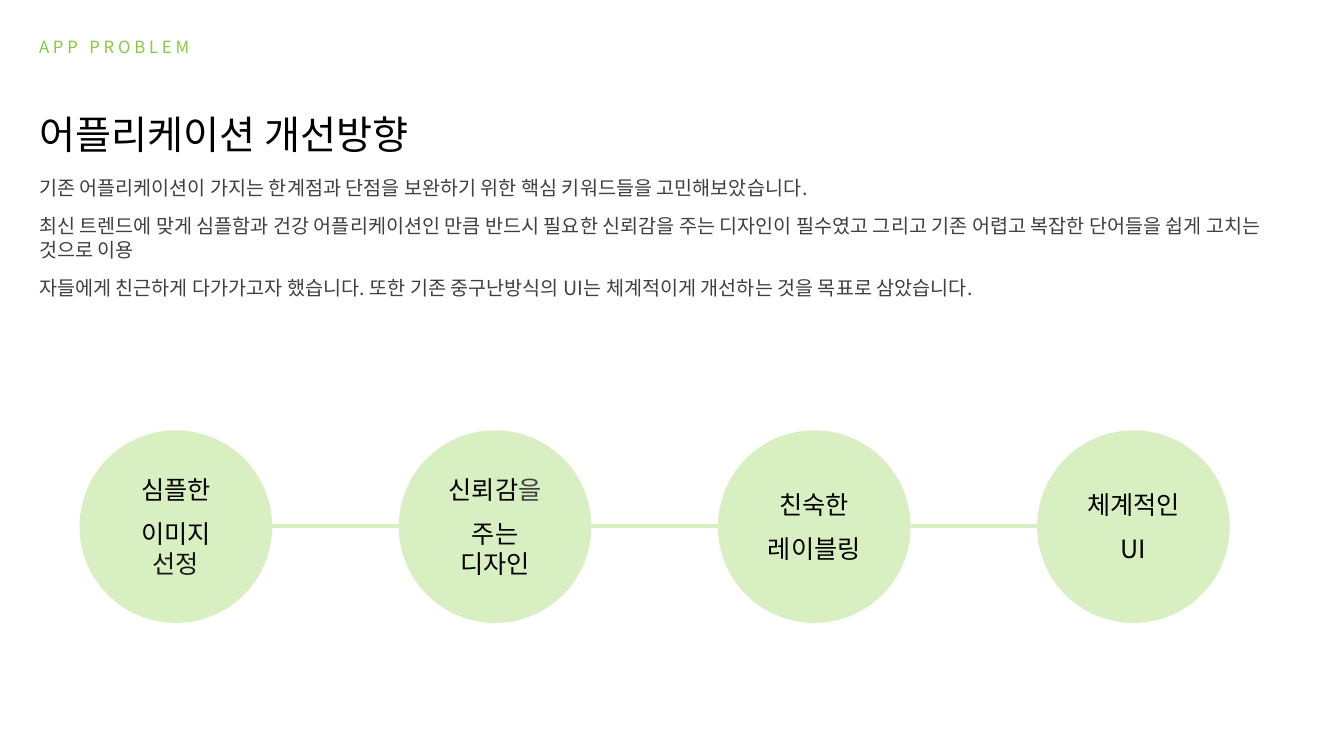
from dataclasses import dataclass

from lxml import etree
from pptx import Presentation
from pptx import util as u
from pptx.dml.color import RGBColor
from pptx.enum import shapes, text
from pptx.oxml.ns import qn


@dataclass(frozen=True)
class TypeStyle:
    """Size, leading, paragraph gap and tracking in points, with a colour."""
    size: float
    leading: float
    color: str
    gap: float = 0
    tracking: float = 0


@dataclass(frozen=True)
class Theme:
    """Colours and type styles of the slide."""
    face: str = "Noto Sans CJK KR"
    pale_green: str = "D8EFC1"
    grey: str = "404040"
    ink: str = "181717"
    eyebrow: TypeStyle = TypeStyle(12, 16, "86CC40", tracking=2.7)
    title: TypeStyle = TypeStyle(28, 36, "000000")
    body: TypeStyle = TypeStyle(14, 16.5, "404040", gap=11)
    keyword: TypeStyle = TypeStyle(18, 21.5, "000000", gap=9.5)


class Deck:
    """Draws the slide on a grid of 48 columns and 27 rows."""
    COLUMNS, ROWS = 48, 27

    def __init__(self, theme):
        """Open a title-only slide."""
        self.theme = theme
        self.file = Presentation()
        self.file.slide_width = u.Inches(13.33)
        self.file.slide_height = u.Inches(7.5)
        self.slide = self.file.slides.add_slide(self.file.slide_layouts[5])

    def x(self, columns):
        """Convert columns to a length."""
        return round(self.file.slide_width * columns / self.COLUMNS)

    def y(self, rows):
        """Convert rows to a length."""
        return round(self.file.slide_height * rows / self.ROWS)

    def box(self, left, top, width, height):
        """Convert a grid box to lengths."""
        return self.x(left), self.y(top), self.x(width), self.y(height)

    def typeset(self, frame, paragraphs, style, align, anchor):
        """Fill a frame with paragraphs, each a list of (words, colour) runs."""
        frame.word_wrap = True
        frame.auto_size = text.MSO_AUTO_SIZE.NONE
        frame.vertical_anchor = anchor
        for index, runs in enumerate(paragraphs):
            paragraph = frame.add_paragraph() if index else frame.paragraphs[0]
            paragraph.alignment = align
            paragraph.line_spacing = u.Pt(style.leading)
            paragraph.space_before = u.Pt(style.gap if index else 0)
            paragraph.font.size = u.Pt(style.size)
            paragraph.font.name = self.theme.face
            paragraph.font.color.rgb = RGBColor.from_string(style.color)
            defaults = paragraph._p.pPr.find(qn("a:defRPr"))
            etree.SubElement(defaults, qn("a:ea"), typeface=self.theme.face)
            if style.tracking:
                defaults.set("spc", str(round(style.tracking * 100)))
            for words, color in runs:
                run = paragraph.add_run()
                run.text = words
                if color:
                    run.font.color.rgb = RGBColor.from_string(color)

    def title(self, words, area):
        """Move and fill the title placeholder."""
        heading = self.slide.shapes.title
        heading.left, heading.top, heading.width, heading.height = self.box(*area)
        self.typeset(heading.text_frame, [[(words, None)]], self.theme.title,
                     text.PP_ALIGN.LEFT, text.MSO_ANCHOR.TOP)

    def note(self, lines, area, style):
        """Add left-aligned text, one paragraph a line."""
        note = self.slide.shapes.add_textbox(*self.box(*area))
        self.typeset(note.text_frame, [[(line, None)] for line in lines], style,
                     text.PP_ALIGN.LEFT, text.MSO_ANCHOR.TOP)

    def thread(self, start, end, row):
        """Add the horizontal line that strings the circles together."""
        thread = self.slide.shapes.add_connector(
            shapes.MSO_CONNECTOR.STRAIGHT,
            self.x(start), self.y(row), self.x(end), self.y(row))
        thread.line.color.rgb = RGBColor.from_string(self.theme.pale_green)
        thread.line.width = u.Pt(3)
        etree.SubElement(thread._element.spPr, qn("a:effectLst"))

    def circle(self, paragraphs, left, top, diameter):
        """Add a keyword circle."""
        circle = self.slide.shapes.add_shape(
            shapes.MSO_SHAPE.OVAL, *self.box(left, top, diameter, diameter))
        circle.shadow.inherit = False
        circle.fill.solid()
        circle.fill.fore_color.rgb = RGBColor.from_string(self.theme.pale_green)
        circle.line.fill.background()
        self.typeset(circle.text_frame, paragraphs, self.theme.keyword,
                     text.PP_ALIGN.CENTER, text.MSO_ANCHOR.MIDDLE)


def main():
    """Build and save the slide."""
    theme = Theme()
    deck = Deck(theme)
    margin = 1.04
    deck.note(["APP PROBLEM"], (margin, 1.04, 11, 1.08), theme.eyebrow)
    deck.title("어플리케이션 개선방향", (margin, 3.64, 19.2, 2.05))
    deck.note([
        "기존 어플리케이션이 가지는 한계점과 단점을 보완하기 위한 핵심 키워드들을 고민해보았습니다.",
        "최신 트렌드에 맞게 심플함과 건강 어플리케이션인 만큼 반드시 필요한 신뢰감을 주는 디자인이 "
        "필수였고 그리고 기존 어렵고 복잡한 단어들을 쉽게 고치는 것으로 이용",
        "자들에게 친근하게 다가가고자 했습니다. 또한 기존 중구난방식의 UI는 체계적이게 개선하는 것을 "
        "목표로 삼았습니다.",
    ], (margin, 6.12, 45.36, 4.8), theme.body)

    keywords = [
        [[("심플한", None)], [("이미지 ", None), ("선정", theme.ink)]],
        [[("신뢰감", None), ("을", theme.grey)], [("주는 디자인", None)]],
        [[("친숙한", None)], [("레이블링", None)]],
        [[("체계적인", None)], [("UI", None)]],
    ]
    first, pitch, top, diameter = 2.84, 11.4, 15.37, 6.88
    deck.thread(5.62, 41.22, 18.79)
    for index, keyword in enumerate(keywords):
        deck.circle(keyword, first + index * pitch, top, diameter)
    deck.file.save("out.pptx")


if __name__ == "__main__":
    main()
